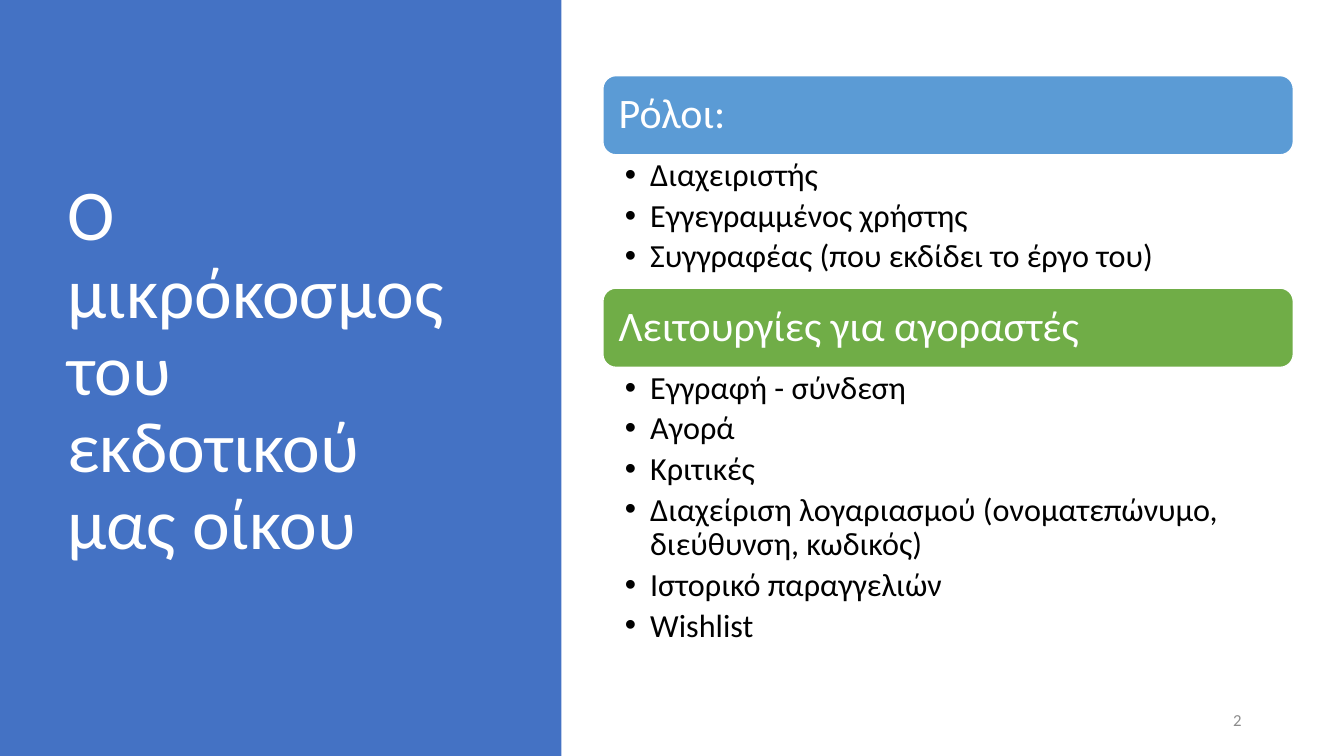
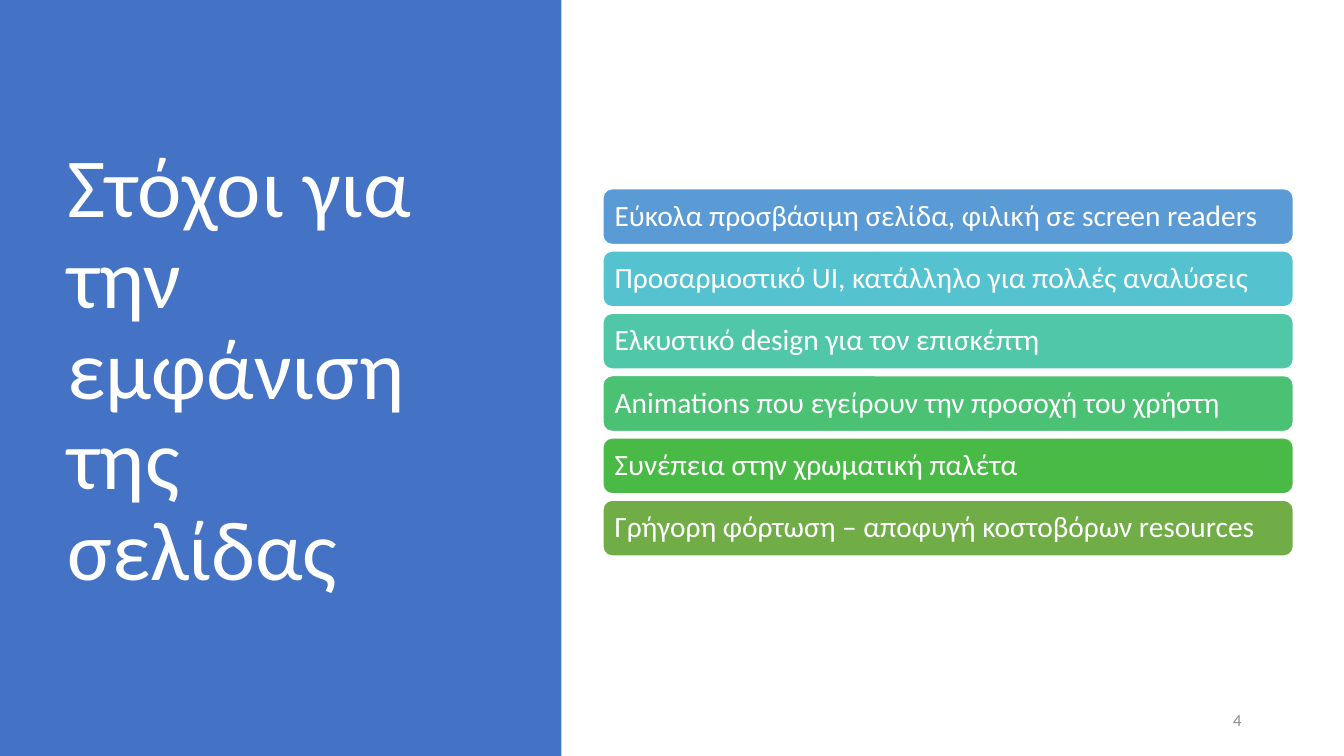
from collections import namedtuple
from dataclasses import dataclass

from lxml import etree
from pptx import Presentation
from pptx.dml.color import RGBColor
from pptx.enum.shapes import MSO_SHAPE
from pptx.enum.text import MSO_ANCHOR, MSO_AUTO_SIZE, PP_ALIGN
from pptx.oxml.ns import qn
from pptx.util import Pt

RECT, ROUND = MSO_SHAPE.RECTANGLE, MSO_SHAPE.ROUNDED_RECTANGLE
TOP, MIDDLE = MSO_ANCHOR.TOP, MSO_ANCHOR.MIDDLE
LEFT, RIGHT = PP_ALIGN.LEFT, PP_ALIGN.RIGHT
FIXED = MSO_AUTO_SIZE.NONE
TWO_LISTS, TITLE_ONLY = 3, 5

Box = namedtuple("Box", "x y w h")


def rgb(code):
    return RGBColor.from_string(code)


@dataclass(frozen=True)
class Theme:
    font: str = "Calibri"
    panel: RGBColor = rgb("4472C4")
    white: RGBColor = rgb("FFFFFF")
    black: RGBColor = rgb("000000")
    gray: RGBColor = rgb("8C8C8C")
    blue: RGBColor = rgb("5B9BD5")
    cyan: RGBColor = rgb("55C3CF")
    teal: RGBColor = rgb("50C8A7")
    mint: RGBColor = rgb("4BC174")
    lime: RGBColor = rgb("4ABA46")
    green: RGBColor = rgb("70AD47")
    head: int = 30
    item: int = 23
    goal: int = 21
    note: int = 12


THEME = Theme()
PAGE = Box(0, 0, 960, 540)
PANEL = Box(0, 0, 401, 540)
ROLES = Box(430.6, 54, 493.2, 423.4)
GOALS = Box(430.6, 134.8, 493.2, 262.4)
NUMBER = Box(678, 500.4, 216, 28.8)

SECTIONS = [
    ("Ρόλοι:", THEME.blue, 95.2, [
        "Διαχειριστής",
        "Εγγεγραμμένος χρήστης",
        "Συγγραφέας (που εκδίδει το έργο του)",
    ]),
    ("Λειτουργίες για αγοραστές", THEME.green, 215, [
        "Εγγραφή - σύνδεση",
        "Αγορά",
        "Κριτικές",
        "Διαχείριση λογαριασμού (ονοματεπώνυμο, διεύθυνση, κωδικός)",
        "Ιστορικό παραγγελιών",
        "Wishlist",
    ]),
]

AIMS = [
    ("Εύκολα προσβάσιμη σελίδα, φιλική σε screen readers", THEME.blue),
    ("Προσαρμοστικό UI, κατάλληλο για πολλές αναλύσεις", THEME.cyan),
    ("Ελκυστικό design για τον επισκέπτη", THEME.teal),
    ("Animations που εγείρουν την προσοχή του χρήστη", THEME.mint),
    ("Συνέπεια στην χρωματική παλέτα", THEME.lime),
    ("Γρήγορη φόρτωση – αποφυγή κοστοβόρων resources", THEME.green),
]


def points(box):
    return [Pt(v) for v in box]


def place(shape, box):
    shape.left, shape.top, shape.width, shape.height = points(box)


def setup(shape, anchor, pads=(7.2, 3.6, 7.2, 3.6)):
    """Fix the text frame's size, anchor and insets (left, top, right, bottom)."""
    frame = shape.text_frame
    frame.word_wrap = True
    frame.auto_size = FIXED
    frame.vertical_anchor = anchor
    (frame.margin_left, frame.margin_top,
     frame.margin_right, frame.margin_bottom) = points(pads)
    return frame


def write(para, text, size, color, align=LEFT):
    para.alignment = align
    para.line_spacing = 0.9
    para.space_before = Pt(0)
    run = para.add_run()
    run.text = text
    run.font.name = THEME.font
    run.font.size = Pt(size)
    run.font.color.rgb = color


def bullet(para, indent):
    props = para._p.get_or_add_pPr()
    props.set("marL", str(Pt(indent)))
    props.set("indent", str(-Pt(indent)))
    etree.SubElement(props, qn("a:buFont")).set("typeface", "Arial")
    etree.SubElement(props, qn("a:buChar")).set("char", "•")


def block(slide, kind, box, fill):
    shape = slide.shapes.add_shape(kind, *points(box))
    shape.shadow.inherit = False
    shape.fill.solid()
    shape.fill.fore_color.rgb = fill
    shape.line.fill.background()
    return shape


def bar(slide, box, text, fill, size, pad):
    shape = block(slide, ROUND, box, fill)
    shape.line.color.rgb = THEME.white
    shape.line.width = Pt(1)
    frame = setup(shape, MIDDLE, [pad] * 4)
    write(frame.paragraphs[0], text, size, THEME.white)


def listing(holder, box, items):
    place(holder, box)
    frame = setup(holder, TOP, (15.8, 2.9, 16.5, 2.9))
    for i, item in enumerate(items):
        para = frame.add_paragraph() if i else frame.paragraphs[0]
        write(para, item, THEME.item, THEME.black)
        para.space_after = Pt(4.2)
        bullet(para, 18)


def heading(slide, box, text, size):
    """Draw the side panel with the slide title on it."""
    title = slide.shapes.title
    panel = block(slide, RECT, box, THEME.panel)
    title.element.addprevious(panel.element)
    place(title, Box(box.x + 41, box.y + 49, box.w - 101.5, box.h - 106.5))
    write(setup(title, MIDDLE).paragraphs[0], text, size, THEME.white)


def number(slide, box, text):
    shape = slide.shapes.add_textbox(*points(box))
    write(setup(shape, MIDDLE).paragraphs[0], text, THEME.note, THEME.gray, RIGHT)


def start(deck, layout, title, size, page):
    slide = deck.slides.add_slide(deck.slide_layouts[layout])
    heading(slide, PANEL, title, size)
    number(slide, NUMBER, page)
    return slide


def sections(slide, box, rows):
    """Stack each heading bar above its list."""
    tall, y = 56.6, box.y
    holders = [h for h in slide.placeholders if h.placeholder_format.idx]
    for holder, (text, fill, depth, items) in zip(holders, rows):
        bar(slide, Box(box.x, y, box.w, tall), text, fill, THEME.head, 8.6)
        listing(holder, Box(box.x, y + tall, box.w, depth), items)
        y += tall + depth


def goals(slide, box, rows):
    """Spread equal bars over the height of the box."""
    tall = 39.9
    step = (box.h - tall) / (len(rows) - 1)
    for i, (text, fill) in enumerate(rows):
        spot = Box(box.x, box.y + i * step, box.w, tall)
        bar(slide, spot, text, fill, THEME.goal, 6.5)


def main():
    deck = Presentation()
    deck.slide_width, deck.slide_height = Pt(PAGE.w), Pt(PAGE.h)
    roles = start(deck, TWO_LISTS, "Ο μικρόκοσμος του εκδοτικού μας οίκου", 51, "2")
    sections(roles, ROLES, SECTIONS)
    looks = start(deck, TITLE_ONLY, "Στόχοι για την εμφάνιση της σελίδας", 60, "4")
    goals(looks, GOALS, AIMS)
    deck.save("out.pptx")


if __name__ == "__main__":
    main()
